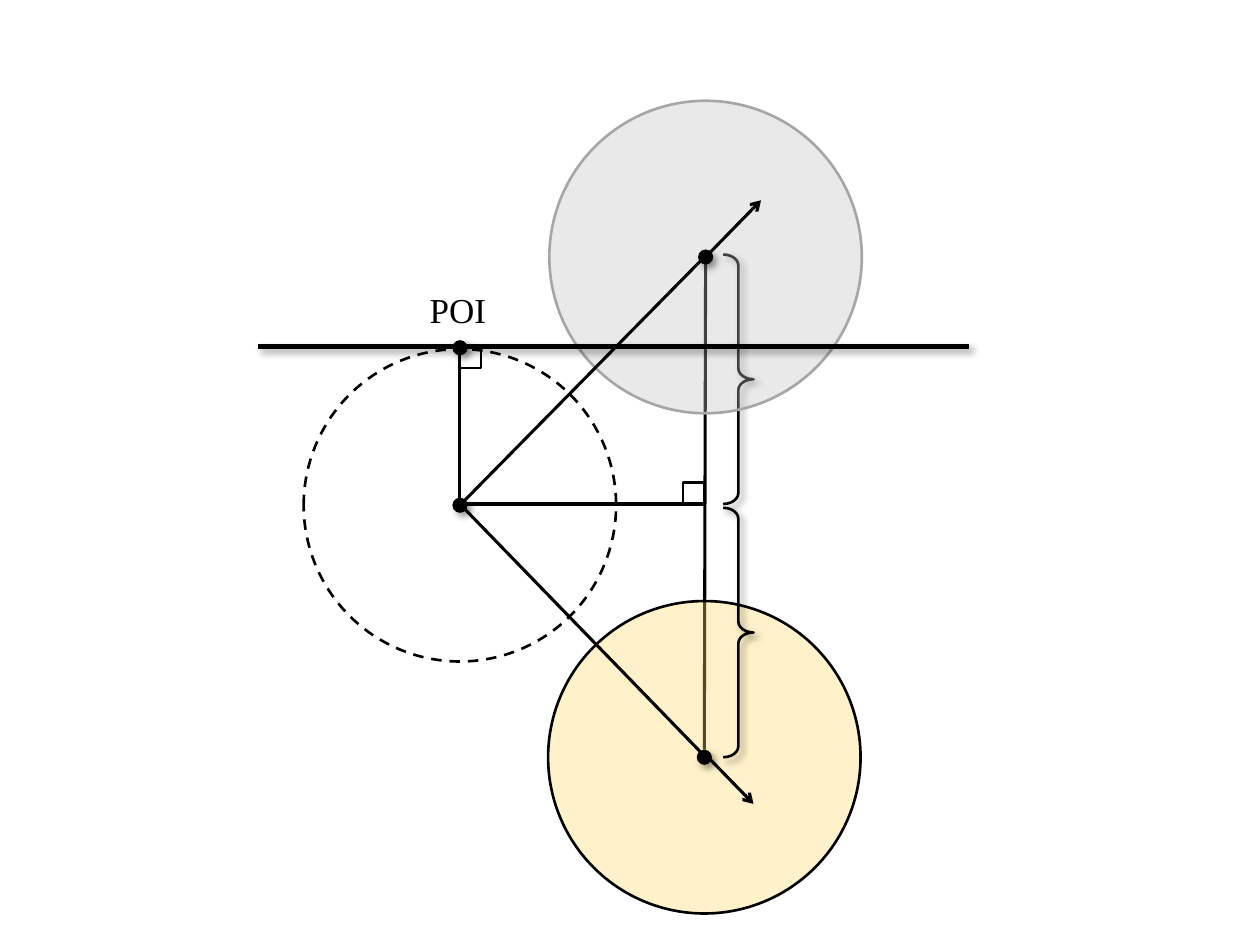
from dataclasses import dataclass
from typing import Optional

from lxml.etree import SubElement
from pptx import Presentation
from pptx.dml.color import RGBColor
from pptx.enum.dml import MSO_LINE
from pptx.enum.shapes import MSO_CONNECTOR, MSO_SHAPE as SHAPE
from pptx.enum.text import MSO_AUTO_SIZE, PP_ALIGN
from pptx.oxml.ns import qn
from pptx.util import Inches, Pt

BLACK = RGBColor(0x00, 0x00, 0x00)
GRAY = RGBColor(0xBF, 0xBF, 0xBF)
GRAY_EDGE = RGBColor(0xA6, 0xA6, 0xA6)
YELLOW = RGBColor(0xFF, 0xD9, 0x66)

DOT = 0.12
CIRCLE = 2.48
CORNER = 0.17


@dataclass
class Outline:
    shape: SHAPE
    x: float
    y: float
    w: float
    h: float
    fill: Optional[RGBColor] = None
    alpha: Optional[int] = None
    edge: Optional[RGBColor] = BLACK
    weight: float = 1.5
    dashed: bool = False
    shadow: bool = False
    bend: Optional[float] = None


@dataclass
class Segment:
    x1: float
    y1: float
    x2: float
    y2: float
    weight: float = 1.75
    arrow: bool = False
    shadow: bool = False


def dot(cx: float, cy: float) -> Outline:
    return Outline(SHAPE.OVAL, cx - DOT / 2, cy - DOT / 2, DOT, DOT,
                   fill=BLACK, edge=None, shadow=True)


def circle(cx: float, cy: float, **style) -> Outline:
    return Outline(SHAPE.OVAL, cx - CIRCLE / 2, cy - CIRCLE / 2, CIRCLE, CIRCLE, **style)


def corner(x: float, y: float) -> Outline:
    return Outline(SHAPE.RECTANGLE, x, y, CORNER, CORNER, weight=1.25)


def brace(y: float) -> Outline:
    return Outline(SHAPE.RIGHT_BRACE, 5.74, y, 0.24, 1.98, shadow=True, bend=0.36)


def add_shadow(effects) -> None:
    outer = SubElement(effects, qn("a:outerShdw"), blurRad=str(Pt(4)), dist=str(Pt(3)),
                       dir="2700000", algn="tl", rotWithShape="0")
    color = SubElement(outer, qn("a:srgbClr"), val=str(BLACK))
    SubElement(color, qn("a:alpha"), val="40000")


def draw_outline(s, o: Outline) -> None:
    sp = s.shapes.add_shape(o.shape, Inches(o.x), Inches(o.y), Inches(o.w), Inches(o.h))
    if o.bend is not None:
        sp.adjustments[0] = o.bend
    if o.fill is None:
        sp.fill.background()
    else:
        sp.fill.solid()
        sp.fill.fore_color.rgb = o.fill
    if o.alpha is not None:
        color = sp._element.spPr.find(qn("a:solidFill")).find(qn("a:srgbClr"))
        SubElement(color, qn("a:alpha"), val=str(o.alpha * 1000))
    if o.edge is None:
        sp.line.fill.background()
    else:
        sp.line.color.rgb = o.edge
        sp.line.width = Pt(o.weight)
    if o.dashed:
        sp.line.dash_style = MSO_LINE.DASH
    sp.shadow.inherit = False
    if o.shadow:
        add_shadow(sp._element.spPr.find(qn("a:effectLst")))


def draw_segment(s, g: Segment) -> None:
    c = s.shapes.add_connector(MSO_CONNECTOR.STRAIGHT, Inches(g.x1), Inches(g.y1),
                               Inches(g.x2), Inches(g.y2))
    c.line.color.rgb = BLACK
    c.line.width = Pt(g.weight)
    spPr = c._element.spPr
    if g.arrow:
        SubElement(spPr.find(qn("a:ln")), qn("a:headEnd"), type="arrow")
    effects = SubElement(spPr, qn("a:effectLst"))
    if g.shadow:
        add_shadow(effects)


def draw_label(s, text: str, x: float, y: float, w: float, h: float) -> None:
    tf = s.shapes.add_textbox(Inches(x), Inches(y), Inches(w), Inches(h)).text_frame
    tf.word_wrap = True
    tf.auto_size = MSO_AUTO_SIZE.SHAPE_TO_FIT_TEXT
    p = tf.paragraphs[0]
    p.text = text
    p.alignment = PP_ALIGN.CENTER
    p.font.size = Pt(20)
    p.font.name = "Times New Roman"
    p.font.color.rgb = BLACK


PARTS = [
    corner(3.65, 2.75),
    dot(3.65, 2.76),
    Segment(5.6, 2.09, 5.59, 5.95),
    corner(5.42, 3.83),
    circle(3.65, 4.01, dashed=True),
    dot(3.65, 4.01),
    brace(2.02),
    Segment(3.65, 2.76, 3.65, 4),
    circle(5.6, 2.04, fill=GRAY, alpha=34, edge=GRAY_EDGE),
    dot(5.6, 2.04),
    Segment(5.6, 4, 3.68, 4),
    Segment(5.6, 2.03, 3.65, 4.01),
    circle(5.59, 6.01, fill=YELLOW, alpha=34),
    dot(5.59, 6.01),
    brace(4.03),
    Segment(5.6, 6.01, 3.65, 4),
    Segment(7.69, 2.75, 2.05, 2.75, weight=2.5, shadow=True),
    Segment(6.04, 1.59, 5.61, 2.03, arrow=True),
    Segment(5.98, 6.38, 5.61, 6, arrow=True),
]


def main() -> None:
    prs = Presentation()
    prs.slide_width, prs.slide_height = Inches(10), Inches(7.5)
    s = prs.slides.add_slide(prs.slide_layouts[6])
    draw_label(s, "POI", 3.22, 2.24, 0.83, 0.44)
    for part in PARTS:
        if isinstance(part, Segment):
            draw_segment(s, part)
        else:
            draw_outline(s, part)
    prs.save("out.pptx")


if __name__ == "__main__":
    main()
